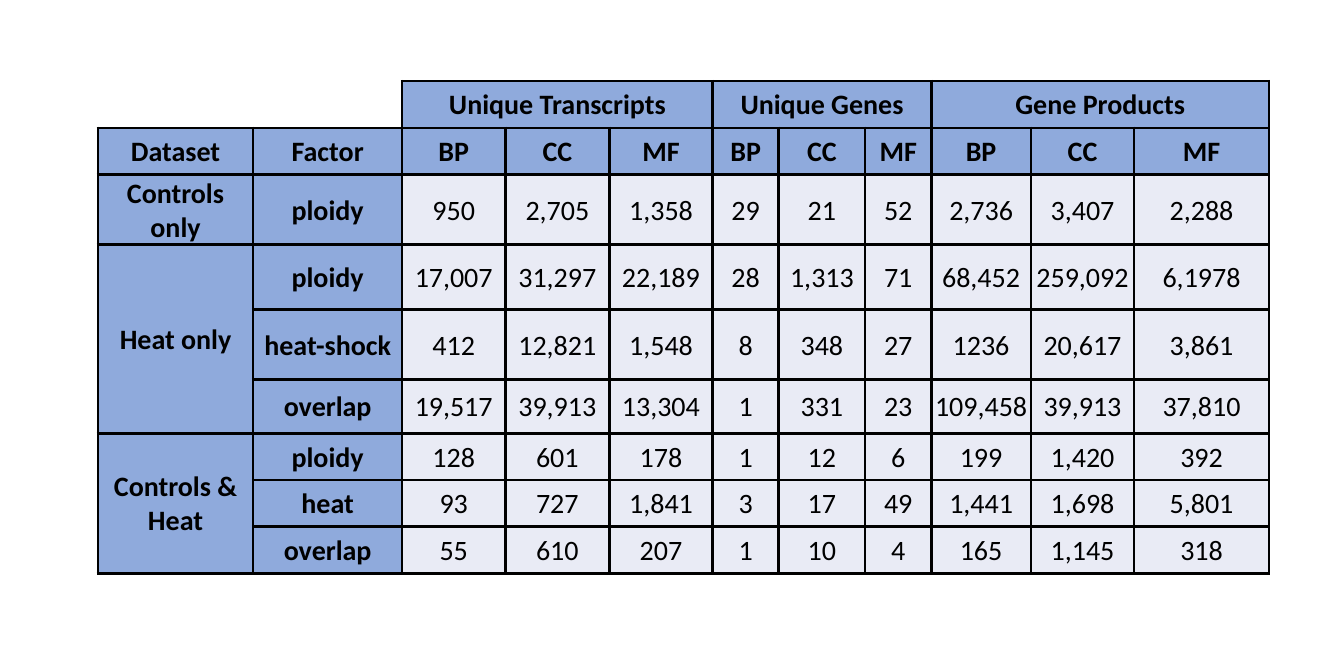
from lxml import etree
from pptx import Presentation
from pptx.dml.color import RGBColor
from pptx.enum.text import MSO_ANCHOR, PP_ALIGN
from pptx.oxml.ns import qn
from pptx.util import Cm, Pt

CENTER = PP_ALIGN.CENTER
MIDDLE = MSO_ANCHOR.MIDDLE
BLACK = RGBColor(0x00, 0x00, 0x00)
HEADER_BLUE = RGBColor(0x8F, 0xAA, 0xDC)
PALE_BLUE = RGBColor(0xE9, 0xEB, 0xF5)
FONT_NAME = "Calibri"
FONT_SIZE = Pt(9)
BORDER_WIDTH = Pt(1)

COLUMN_WIDTHS = [1.76, 1.69, 1.17, 1.18, 1.17, 0.75, 0.98, 0.75, 1.13, 1.17, 1.53]
ROW_HEIGHTS = [0.53, 0.53, 0.79, 0.74, 0.79, 0.61, 0.53, 0.53, 0.53]
HEADER_ROWS = 2
LABEL_COLUMNS = 2
GROUP_SIZE = 3

GROUPS = ["Unique Transcripts", "Unique Genes", "Gene Products"]
ROWS = [
    ["", ""] + [text for group in GROUPS for text in (group, "", "")],
    ["Dataset", "Factor"] + ["BP", "CC", "MF"] * len(GROUPS),
    ["Controls only", "ploidy", "950", "2,705", "1,358", "29", "21", "52",
     "2,736", "3,407", "2,288"],
    ["Heat only", "ploidy", "17,007", "31,297", "22,189", "28", "1,313", "71",
     "68,452", "259,092", "6,1978"],
    ["", "heat-shock", "412", "12,821", "1,548", "8", "348", "27",
     "1236", "20,617", "3,861"],
    ["", "overlap", "19,517", "39,913", "13,304", "1", "331", "23",
     "109,458", "39,913", "37,810"],
    ["Controls & Heat", "ploidy", "128", "601", "178", "1", "12", "6",
     "199", "1,420", "392"],
    ["", "heat", "93", "727", "1,841", "3", "17", "49",
     "1,441", "1,698", "5,801"],
    ["", "overlap", "55", "610", "207", "1", "10", "4",
     "165", "1,145", "318"],
]


def set_borders(cell, sides):
    properties = cell._tc.get_or_add_tcPr()
    for side in "LRTB":
        line = etree.SubElement(properties, qn(f"a:ln{side}"))
        if side in sides:
            line.set("w", str(BORDER_WIDTH))
            fill = etree.SubElement(line, qn("a:solidFill"))
            etree.SubElement(fill, qn("a:srgbClr")).set("val", str(BLACK))
        else:
            etree.SubElement(line, qn("a:noFill"))


def write_cell(cell, text, bold):
    cell.margin_left = cell.margin_right = cell.margin_top = Cm(0.02)
    cell.margin_bottom = 0
    cell.vertical_anchor = MIDDLE
    paragraph = cell.text_frame.paragraphs[0]
    paragraph.alignment = CENTER
    if text:
        run = paragraph.add_run()
        run.text = text
        run.font.name = FONT_NAME
        run.font.size = FONT_SIZE
        run.font.bold = bold
        run.font.color.rgb = BLACK
    else:
        # An empty cell needs the small size too, or its row grows
        end_properties = paragraph._p.get_or_add_endParaRPr()
        end_properties.set("sz", str(int(FONT_SIZE.pt * 100)))


def add_results_table(slide, left, top, width, height):
    shape = slide.shapes.add_table(
        len(ROWS), len(COLUMN_WIDTHS), left, top, width, height)
    table = shape.table
    table.first_row = False
    table.horz_banding = False

    # Grid, scaled to the box
    for column, share in zip(table.columns, COLUMN_WIDTHS):
        column.width = int(width * share / sum(COLUMN_WIDTHS))
    for row, share in zip(table.rows, ROW_HEIGHTS):
        row.height = int(height * share / sum(ROW_HEIGHTS))

    # Cells
    for row_index, texts in enumerate(ROWS):
        for column_index, text in enumerate(texts):
            cell = table.cell(row_index, column_index)
            is_label = column_index < LABEL_COLUMNS
            is_header = is_label or row_index < HEADER_ROWS
            write_cell(cell, text, is_header)
            if row_index == 0 and is_label:
                set_borders(cell, "B" if column_index == 0 else "RB")
                cell.fill.background()
            else:
                set_borders(cell, "LRTB")
                cell.fill.solid()
                cell.fill.fore_color.rgb = HEADER_BLUE if is_header else PALE_BLUE

    # Merged headings: column groups, then datasets
    for first in range(LABEL_COLUMNS, len(COLUMN_WIDTHS), GROUP_SIZE):
        table.cell(0, first).merge(table.cell(0, first + GROUP_SIZE - 1))
    for first in range(HEADER_ROWS + 1, len(ROWS), GROUP_SIZE):
        table.cell(first, 0).merge(table.cell(first + GROUP_SIZE - 1, 0))


def main():
    presentation = Presentation()
    presentation.slide_width = Cm(15.24)
    presentation.slide_height = Cm(7.62)
    slide = presentation.slides.add_slide(presentation.slide_layouts[6])
    add_results_table(slide, Cm(1.11), Cm(0.92), Cm(13.28), Cm(5.58))
    presentation.save("out.pptx")


if __name__ == "__main__":
    main()
